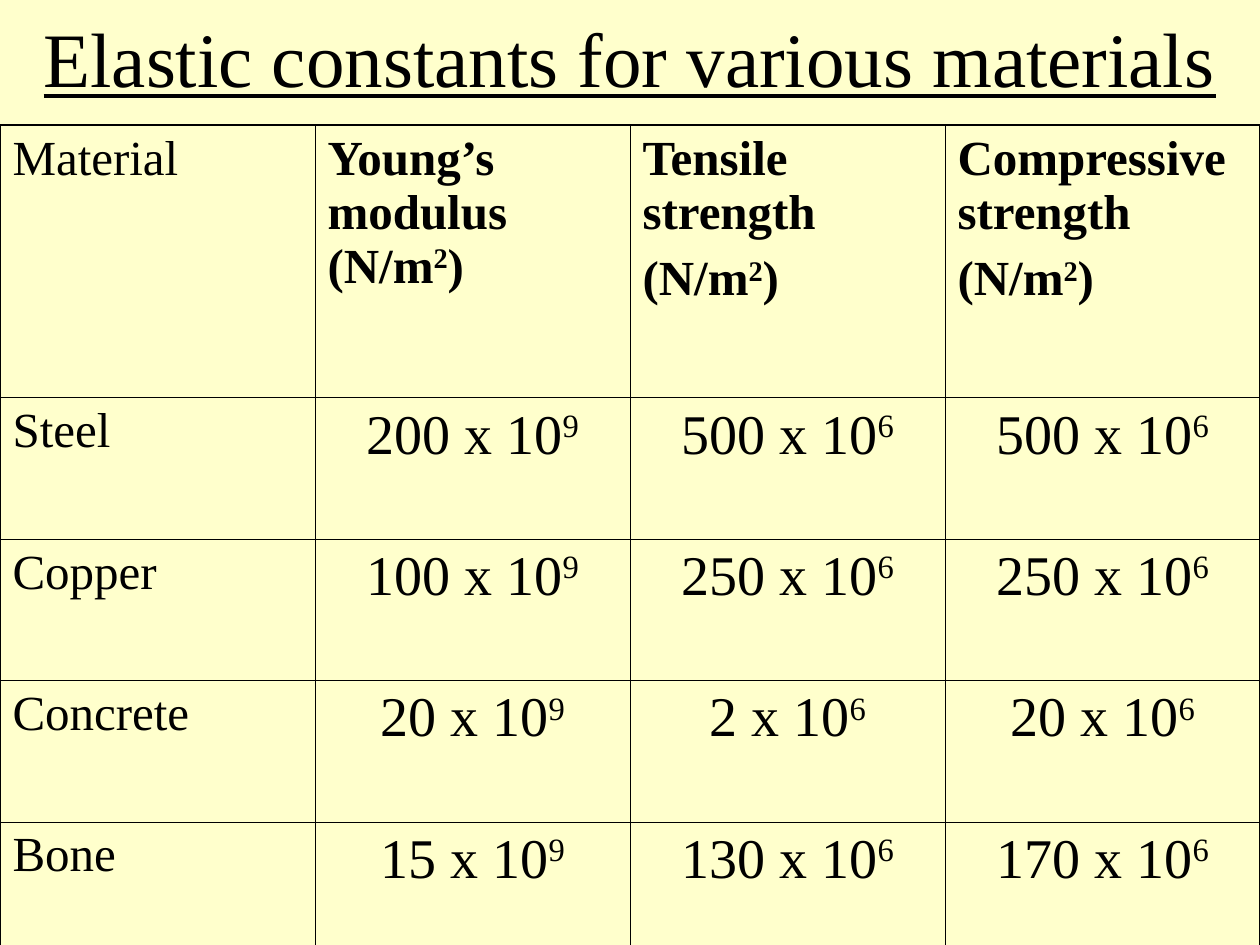
"""Build a slide with a table of elastic constants for various materials."""
from lxml.etree import SubElement
from pptx import Presentation
from pptx.dml.color import RGBColor
from pptx.enum.text import MSO_ANCHOR, MSO_AUTO_SIZE, PP_ALIGN
from pptx.oxml.ns import qn
from pptx.util import Cm, Pt

COLORS = {"background": "FFFFCC", "ink": "000000"}
FONT = "Times New Roman"
THIN, THICK = Pt(0.45), Pt(1.08)
HEADINGS = [
    ["Material"],
    ["Young’s modulus (N/m^2)"],
    ["Tensile strength", "(N/m^2)"],
    ["Compressive strength", "(N/m^2)"],
]
MATERIALS = [
    ("Steel", 200, 500, 500),
    ("Copper", 100, 250, 250),
    ("Concrete", 20, 2, 20),
    ("Bone", 15, 130, 170),
]
EXPONENTS = (9, 6, 6)


def write(paragraph, text, size=28, bold=False, underline=False, align=PP_ALIGN.LEFT):
    """Write text into a paragraph, raising the character after a caret."""
    paragraph.alignment = align
    base, _, rest = text.partition("^")
    for piece, baseline in ((base, 0), (rest[:1], 30000), (rest[1:], 0)):
        if piece:
            run = paragraph.add_run()
            run.text = piece
            run.font.name = FONT
            run.font.size = Pt(size)
            run.font.bold = bold
            run.font.underline = underline
            run.font.color.rgb = RGBColor.from_string(COLORS["ink"])
            if baseline:
                run.font._element.set("baseline", str(baseline))


def draw_borders(cell, **widths):
    """Draw the cell's borders, with widths keyed by side in schema order."""
    properties = cell._tc.get_or_add_tcPr()
    for side, width in widths.items():
        line = SubElement(properties, qn(f"a:ln{side}"), w=str(width))
        fill = SubElement(line, qn("a:solidFill"))
        SubElement(fill, qn("a:srgbClr"), val=COLORS["ink"])


presentation = Presentation()
presentation.slide_width = Cm(25.4)
presentation.slide_height = Cm(19.05)
slide = presentation.slides.add_slide(presentation.slide_layouts[5])
slide.background.fill.solid()
slide.background.fill.fore_color.rgb = RGBColor.from_string(COLORS["background"])

title = slide.shapes.title
title.left, title.top, title.width, title.height = Cm(0), Cm(0), Cm(25.4), Cm(2.3)
title.text_frame.auto_size = MSO_AUTO_SIZE.NONE
title.text_frame.vertical_anchor = MSO_ANCHOR.MIDDLE
write(title.text_frame.paragraphs[0], "Elastic constants for various materials",
      size=44, underline=True, align=PP_ALIGN.CENTER)

rows = [HEADINGS]
for material, *strengths in MATERIALS:
    rows.append([[material]] + [
        [f"{value} x 10^{exponent}"] for value, exponent in zip(strengths, EXPONENTS)
    ])

last_row, last_column = len(rows) - 1, len(HEADINGS) - 1
constants = slide.shapes.add_table(
    len(rows), len(HEADINGS), Cm(0), Cm(2.52), Cm(25.4), Cm(16.9)
).table
constants.first_row = False
constants.horz_banding = False
for column in constants.columns:
    column.width = Cm(6.35)

for row_index, entries in enumerate(rows):
    constants.rows[row_index].height = Cm(2.85 if row_index else 5.5)
    for column_index, lines in enumerate(entries):
        cell = constants.cell(row_index, column_index)
        draw_borders(
            cell,
            L=THIN if column_index else THICK,
            R=THICK if column_index == last_column else THIN,
            T=THIN if row_index else THICK,
            B=THICK if row_index == last_row else THIN,
        )
        cell.fill.background()
        is_value = row_index > 0 and column_index > 0
        for line_index, line in enumerate(lines):
            if line_index:
                paragraph = cell.text_frame.add_paragraph()
                paragraph.space_before = Pt(7)
            else:
                paragraph = cell.text_frame.paragraphs[0]
            write(
                paragraph,
                line,
                size=32 if is_value else 28,
                bold=row_index == 0 and column_index > 0,
                align=PP_ALIGN.CENTER if is_value else PP_ALIGN.LEFT,
            )

presentation.save("out.pptx")
